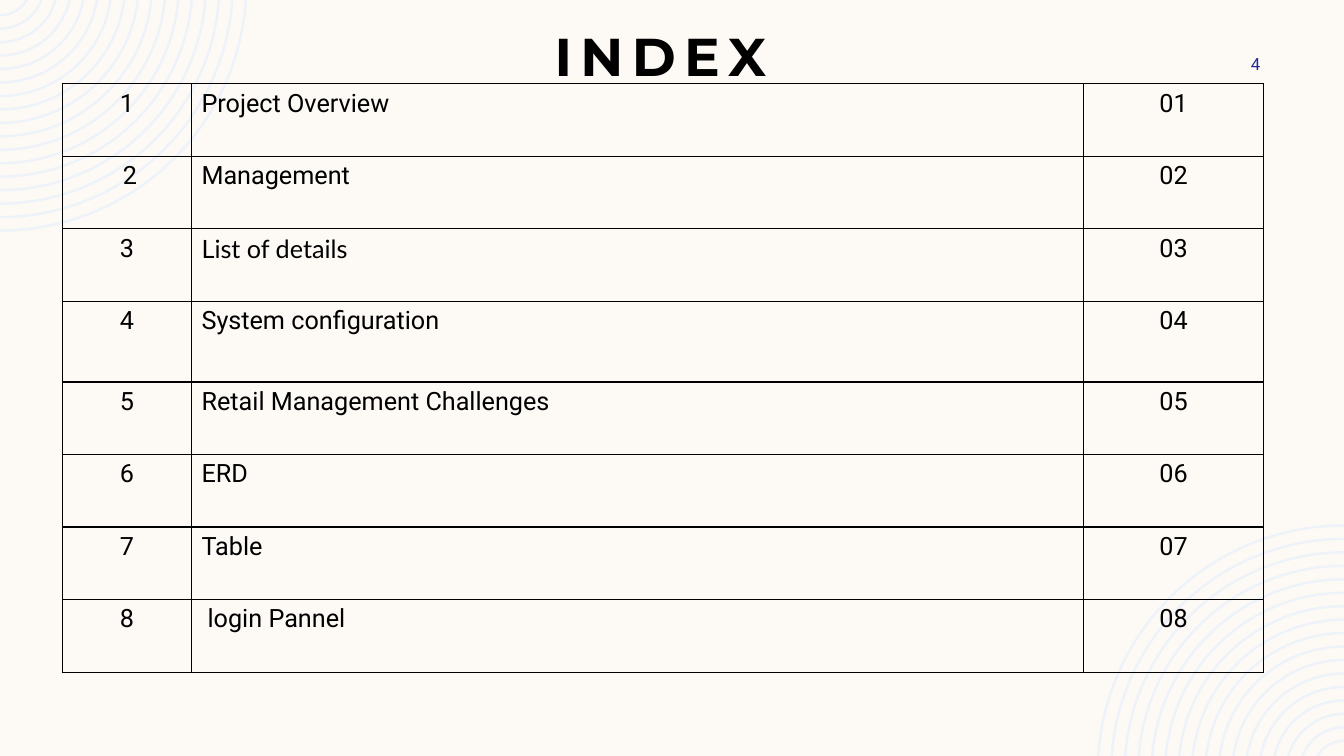
"""Build the index slide: a ruled contents table between two corners of concentric rings."""
import math

from lxml import etree
from pptx import Presentation
from pptx.dml.color import RGBColor
from pptx.enum.text import MSO_ANCHOR, MSO_AUTO_SIZE, PP_ALIGN
from pptx.oxml.ns import qn
from pptx.util import Inches, Pt

LEFT, CENTER, RIGHT, JUSTIFY = PP_ALIGN.LEFT, PP_ALIGN.CENTER, PP_ALIGN.RIGHT, PP_ALIGN.JUSTIFY
TOP, MIDDLE = MSO_ANCHOR.TOP, MSO_ANCHOR.MIDDLE
NO_AUTOFIT = MSO_AUTO_SIZE.NONE

THEME = {
    "paper": RGBColor.from_string("FDFAF6"),
    "rings": RGBColor.from_string("EEF3FA"),
    "ink": RGBColor.from_string("000000"),
    "accent": RGBColor.from_string("1F2C8F"),
    "heading": {"name": "Montserrat", "size": Pt(38), "bold": True},
    "body": {"name": "Roboto", "size": Pt(18)},
    "small": {"name": "Roboto", "size": Pt(12)},
    "rule": Pt(1),
}
TOPICS = [
    "Project Overview", "Management", "List of details", "System configuration",
    "Retail Management Challenges", "ERD", "Table", "login Pannel",
]
TOPIC_FONTS = {"List of details": "Lato"}
TOPIC_ALIGNMENTS = {"System configuration": JUSTIFY}
INDENTS = {"2": Inches(0.16), "login Pannel": Inches(0.16)}
COLUMN_SHARES = [9.6, 66.39, 13.36]
ROW_SHARES = [9.6] * 3 + [10.67] + [9.6] * 4
RING_COUNT = 17
DEGREE = 60000


def share(percent, side):
    return round(side * percent / 100)


def set_format(target, values):
    for attribute, value in values.items():
        setattr(target, attribute, value)


deck = Presentation()
set_format(deck, {"slide_width": Inches(13.33), "slide_height": Inches(7.5)})
width, height = deck.slide_width, deck.slide_height
slide = deck.slides.add_slide(deck.slide_layouts[5])
slide.background.fill.solid()
slide.background.fill.fore_color.rgb = THEME["paper"]

ring_centre = share(-2.07, height)
for corner_x, corner_y, direction, turn in ((0, 0, 1, 0), (width, height, -1, 180)):
    outline = slide.shapes.build_freeform(corner_x, corner_y)
    curves = []
    for ring in range(RING_COUNT):
        outer = share(32.73 - 1.78 * ring, height)
        inner = outer - share(0.33, height)
        starts = [math.degrees(math.asin(-ring_centre / radius)) for radius in (outer, inner)]
        edges = [round(radius * math.cos(math.radians(start)))
                 for radius, start in zip((outer, inner), starts)]
        outline.move_to(corner_x + direction * edges[0], corner_y)
        outline.add_line_segments([
            (corner_x, corner_y + direction * (ring_centre + outer)),
            (corner_x, corner_y + direction * (ring_centre + inner)),
            (corner_x + direction * edges[1], corner_y),
        ], close=True)
        curves.append((outer, starts[0] + turn, 90 - starts[0]))
        curves.append((inner, 90 + turn, starts[1] - 90))
    rings = outline.convert_to_shape()
    rings.shadow.inherit = False
    rings.fill.solid()
    rings.fill.fore_color.rgb = THEME["rings"]
    rings.line.fill.background()
    sides = list(rings._element.iter(qn("a:lnTo")))
    bent_sides = [side for order, side in enumerate(sides) if order % 3 != 1]
    for side, (radius, start, sweep) in zip(bent_sides, curves):
        side.getparent().replace(side, etree.Element(
            qn("a:arcTo"), wR=str(radius), hR=str(radius),
            stAng=str(round(start * DEGREE)), swAng=str(round(sweep * DEGREE)),
        ))

heading = slide.shapes.title
set_format(heading, {
    "left": share(6.23, width), "top": share(1.87, height),
    "width": share(85.82, width), "height": share(16.4, height),
})
set_format(heading.text_frame, {
    "text": "INDEX", "word_wrap": True, "auto_size": NO_AUTOFIT, "vertical_anchor": TOP,
})
heading_line = heading.text_frame.paragraphs[0]
set_format(heading_line, {"alignment": CENTER, "line_spacing": Pt(48.8)})
heading_font = heading_line.runs[0].font
set_format(heading_font, THEME["heading"])
heading_font.color.rgb = THEME["ink"]
heading_line.runs[0]._r.get_or_add_rPr().set("spc", "600")

page_number = slide.shapes.add_textbox(
    share(85.67, width), share(6.67, height), share(8.1, width), share(3.6, height)
).text_frame
set_format(page_number, {
    "text": "4", "word_wrap": True, "vertical_anchor": MIDDLE, "margin_left": Inches(0.1),
    "margin_right": 0, "margin_top": Inches(0.05), "margin_bottom": Inches(0.05),
})
page_number.paragraphs[0].alignment = RIGHT
page_font = page_number.paragraphs[0].runs[0].font
set_format(page_font, THEME["small"])
page_font.color.rgb = THEME["accent"]

contents = slide.shapes.add_table(
    len(TOPICS), len(COLUMN_SHARES), share(4.65, width), share(11.07, height),
    share(sum(COLUMN_SHARES), width), share(sum(ROW_SHARES), height),
).table
set_format(contents, {"first_row": False, "horz_banding": False})
for column, percent in zip(contents.columns, COLUMN_SHARES):
    column.width = share(percent, width)
for row, percent in zip(contents.rows, ROW_SHARES):
    row.height = share(percent, height)

for index, topic in enumerate(TOPICS):
    entries = [
        (str(index + 1), CENTER),
        (topic, TOPIC_ALIGNMENTS.get(topic, LEFT)),
        (f"{index + 1:02}", CENTER),
    ]
    for position, (wording, alignment) in enumerate(entries):
        cell = contents.cell(index, position)
        set_format(cell, {"text": wording, "margin_left": INDENTS.get(wording, Inches(0.1))})
        properties = cell._tc.get_or_add_tcPr()
        for edge in ("a:lnL", "a:lnR", "a:lnT", "a:lnB"):
            rule = etree.SubElement(properties, qn(edge), w=str(THEME["rule"]))
            paint = etree.SubElement(rule, qn("a:solidFill"))
            etree.SubElement(paint, qn("a:srgbClr"), val=str(THEME["ink"]))
        cell.fill.background()
        paragraph = cell.text_frame.paragraphs[0]
        paragraph.alignment = alignment
        font = paragraph.runs[0].font
        set_format(font, THEME["body"])
        font.name = TOPIC_FONTS.get(wording, font.name)
        font.color.rgb = THEME["ink"]

deck.save("out.pptx")
